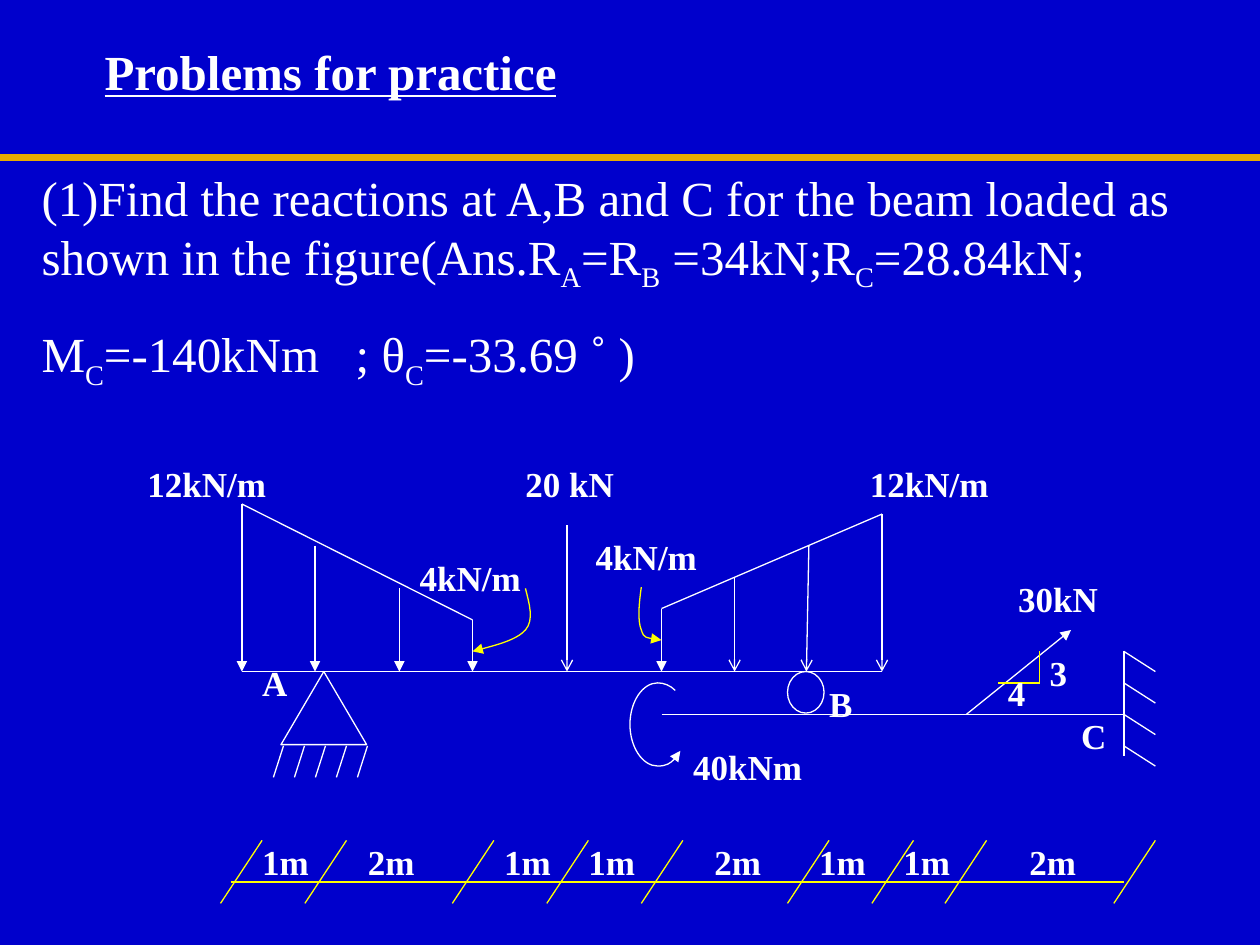
from dataclasses import dataclass

from lxml import etree
from pptx import Presentation
from pptx.dml.color import RGBColor
from pptx.enum import shapes, text
from pptx.oxml.ns import qn
from pptx.util import Inches, Pt


@dataclass(frozen=True)
class Theme:
    background: RGBColor = RGBColor(0x00, 0x00, 0xCC)
    white: RGBColor = RGBColor(0xFF, 0xFF, 0xFF)
    yellow: RGBColor = RGBColor(0xFF, 0xFF, 0x00)
    gold: RGBColor = RGBColor(0xE8, 0xAB, 0x00)
    font: str = "Times New Roman"
    heading: Pt = Pt(28)
    label: Pt = Pt(20)
    thin: Pt = Pt(0.75)
    thick: Pt = Pt(4.5)


theme = Theme()
presentation = Presentation()
presentation.slide_width = Inches(10)
presentation.slide_height = Inches(7.5)
slide = presentation.slides.add_slide(presentation.slide_layouts[6])
slide.background.fill.solid()
slide.background.fill.fore_color.rgb = theme.background


def style_line(shape, color=theme.white, width=theme.thin, arrow=None):
    """Set the stroke, remove the shadow and add an arrowhead at the end."""
    shape.line.color.rgb = color
    shape.line.width = width
    if arrow:
        etree.SubElement(shape.line._get_or_add_ln(), qn("a:tailEnd"), type=arrow)
    properties = shape._element.spPr
    if properties.find(qn("a:effectLst")) is None:
        etree.SubElement(properties, qn("a:effectLst"))


def add_line(x1, y1, x2, y2, parent=slide, **style):
    connector = parent.shapes.add_connector(
        shapes.MSO_CONNECTOR.STRAIGHT, Inches(x1), Inches(y1), Inches(x2), Inches(y2))
    style_line(connector, **style)


# Title rule and beams
add_line(0, 1.25, 10.03, 1.25, color=theme.gold, width=theme.thick)
beam_y, lower_beam_y = 5.33, 5.67
add_line(1.92, beam_y, 7, beam_y)
add_line(5.25, lower_beam_y, 8.92, lower_beam_y)

# Loads
add_line(1.92, 4, 3.75, 4.92)
add_line(5.25, 4.83, 7, 4.08)
for x, top, foot_x, arrow in [
    (1.92, 4, 1.92, "triangle"), (2.5, 4.33, 2.5, "triangle"),
    (3.17, 4.67, 3.17, "triangle"), (3.75, 4.92, 3.75, "triangle"),
    (4.5, 4.17, 4.5, "arrow"), (5.25, 4.83, 5.25, "triangle"),
    (5.83, 4.58, 5.83, "arrow"), (6.42, 4.33, 6.4, "arrow"), (7, 4.08, 7, "arrow"),
]:
    add_line(x, top, foot_x, beam_y, arrow=arrow)
add_line(7.67, lower_beam_y, 8.5, 5, arrow="triangle")
add_line(8.25, 5.17, 8.25, 5.42, color=theme.yellow)
add_line(8.25, 5.42, 7.92, 5.42, color=theme.yellow)

# Supports: hinge at A, roller at B, wall at C
hinge = slide.shapes.add_group_shape()
triangle = hinge.shapes.add_shape(
    shapes.MSO_SHAPE.ISOSCELES_TRIANGLE, Inches(2.23), Inches(beam_y), Inches(0.68), Inches(0.58))
roller = slide.shapes.add_shape(
    shapes.MSO_SHAPE.OVAL, Inches(6.25), Inches(beam_y), Inches(0.29), Inches(0.33))
for support in (triangle, roller):
    support.fill.background()
    style_line(support)
for i in range(5):
    x = 2.25 + i / 6
    add_line(x, 5.92, x - 0.08, 6.17, parent=hinge)

wall = slide.shapes.add_group_shape()
add_line(8.92, 5.17, 8.92, 6, parent=wall)
for i in range(4):
    y = 5.17 + i / 4
    add_line(8.92, y, 9.17, y + 0.16, parent=wall)

# Curved arrows: a start point, then three Bézier points per segment
for color, points in [
    (theme.yellow, [(5.09, 4.66), (5.07, 4.8), (5.06, 4.93), (5.09, 5),
                    (5.11, 5.07), (5.22, 5.08), (5.25, 5.08)]),
    (theme.yellow, [(4.17, 4.67), (4.2, 4.79), (4.24, 4.92), (4.17, 5),
                    (4.1, 5.08), (3.83, 5.15), (3.75, 5.17)]),
    (theme.white, [(5.36, 5.48), (5.32, 5.44), (5.27, 5.42), (5.22, 5.42),
                   (5.1, 5.42), (5, 5.57), (5, 5.75), (5, 5.93), (5.1, 6.08),
                   (5.22, 6.08), (5.29, 6.08), (5.36, 6.04), (5.4, 5.96)]),
]:
    start, *controls = [(Inches(x), Inches(y)) for x, y in points]
    builder = slide.shapes.build_freeform(*start)
    builder.add_line_segments(controls, close=False)
    curve = builder.convert_to_shape()
    path = curve._element.find(".//" + qn("a:path"))
    segments = path.findall(qn("a:lnTo"))
    for i in range(0, len(segments), 3):
        bezier = etree.SubElement(path, qn("a:cubicBezTo"))
        for segment in segments[i:i + 3]:
            bezier.append(segment[0])
            path.remove(segment)
    curve.fill.background()
    style_line(curve, color=color, arrow="triangle")

# Dimension line
add_line(1.83, 7, 8.92, 7, color=theme.yellow)
for x in (2.08, 2.75, 3.92, 4.67, 5.42, 6.58, 7.25, 7.83, 9.17):
    add_line(x, 6.67, x - 0.33, 7.17, color=theme.yellow)

# Texts: a run after each "|" alternates between baseline and subscript
title = "Problems for practice"
problem = [
    "(1)Find the reactions at A,B and C for the beam loaded as shown in the figure(Ans.R"
    "|A|=R|B| =34kN;R|C|=28.84kN;",
    "M|C|=-140kNm   ; θ|C|=-33.69 ˚ )",
]
left, center = text.PP_ALIGN.LEFT, text.PP_ALIGN.CENTER
labels = [
    ("12kN/m", 1.17, 3.67, 1.08, left), ("20 kN", 4.17, 3.67, 1, left),
    ("12kN/m", 6.75, 3.67, 1.25, center), ("4kN/m", 3.33, 4.42, 1, left),
    ("4kN/m", 4.42, 4.25, 1.42, center), ("30kN", 8.08, 4.58, 1.08, left),
    ("40kNm", 5.5, 5.92, 0.92, left), ("A", 2.08, 5.25, 0.5, left),
    ("B", 6.58, 5.42, 0.58, left), ("C", 8.58, 5.67, 0.58, left),
    ("3", 8.33, 5.17, 0.08, left), ("4", 8, 5.33, 0.33, left),
]
spans = [("1m", 2.08), ("2m", 2.92), ("1m", 4), ("1m", 4.67),
         ("2m", 5.67), ("1m", 6.5), ("1m", 7.17), ("2m", 8.17)]
labels += [(span, x, 6.67, 0.42, left) for span, x in spans]

boxes = [
    ([title], 0.83, 0.33, 7.58, 0.47, left, theme.heading, True),
    (problem, 0.33, 1.33, 9.17, 2.48, left, theme.heading, False),
]
boxes += [([label], x, y, width, 0.33, align, theme.label, True)
          for label, x, y, width, align in labels]
for lines, x, y, width, height, align, size, bold in boxes:
    box = slide.shapes.add_textbox(Inches(x), Inches(y), Inches(width), Inches(height))
    frame = box.text_frame
    frame.word_wrap = True
    frame.auto_size = text.MSO_AUTO_SIZE.SHAPE_TO_FIT_TEXT
    frame.margin_left = frame.margin_right = frame.margin_top = frame.margin_bottom = 0
    for i, line in enumerate(lines):
        paragraph = frame.add_paragraph() if i else frame.paragraphs[0]
        paragraph.alignment = align
        if i:
            paragraph.space_before = Pt(17.5)
        paragraph.font.name = theme.font
        paragraph.font.size = size
        paragraph.font.bold = bold
        paragraph.font.underline = lines == [title]
        paragraph.font.color.rgb = theme.white
        for j, part in enumerate(line.split("|")):
            run = paragraph.add_run()
            run.text = part
            if j % 2:
                run.font._element.set("baseline", "-25000")

presentation.save("out.pptx")
